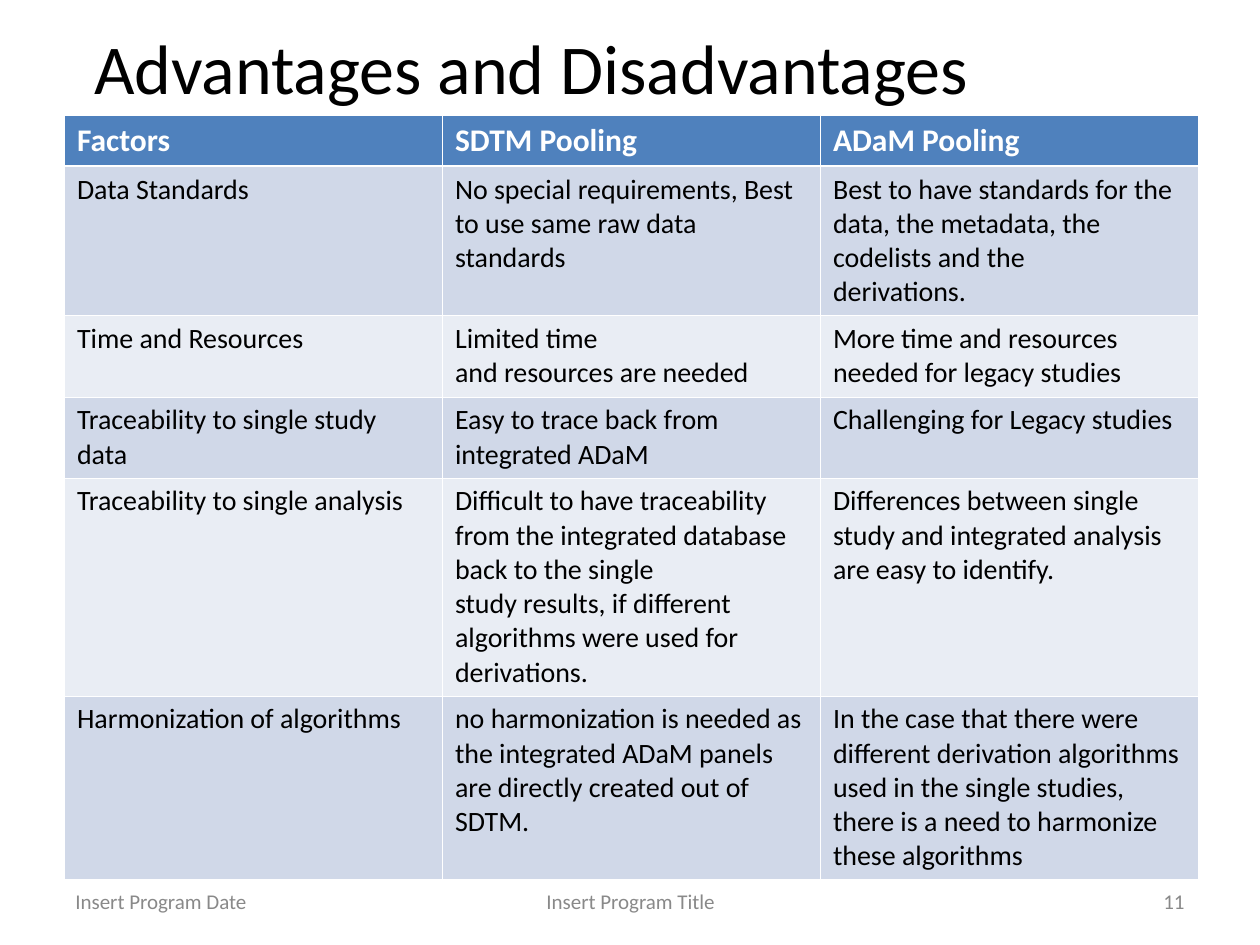
"""Build a slide with a table comparing SDTM pooling and ADaM pooling."""
from lxml import etree
from pptx import Presentation
from pptx.dml.color import RGBColor
from pptx.enum.text import MSO_ANCHOR, PP_ALIGN
from pptx.oxml.ns import qn
from pptx.util import Cm, Pt

LEFT, CENTER, RIGHT = PP_ALIGN.LEFT, PP_ALIGN.CENTER, PP_ALIGN.RIGHT
MIDDLE = MSO_ANCHOR.MIDDLE
FONT = "Calibri"
COLORS = {
    "text": "000000",
    "footer": "898989",
    "white": "FFFFFF",
    "header": "4F81BD",
    "odd_row": "D0D8E8",
    "even_row": "E9EDF4",
}
THIN, THICK = 0.45, 1.47
COLUMN_WIDTH = 7.62
ROW_HEIGHTS = [1.02, 2.97, 1.63, 1.63, 4.32, 3.66]
ROWS = [
    ("Factors", "SDTM Pooling", "ADaM Pooling"),
    ("Data Standards",
     "No special requirements, Best to use same raw data standards",
     "Best to have standards for the data, the metadata, the codelists and the\n"
     "derivations."),
    ("Time and Resources",
     "Limited time\nand resources are needed",
     "More time and resources needed for legacy studies"),
    ("Traceability to single study data",
     "Easy to trace back from integrated ADaM",
     "Challenging for Legacy studies"),
    ("Traceability to single analysis",
     "Difficult to have traceability from the integrated database back to the single\n"
     "study results, if different algorithms were used for derivations.",
     "Differences between single study and integrated analysis are easy to identify."),
    ("Harmonization of algorithms",
     "no harmonization is needed as the integrated ADaM panels are directly created out of\n"
     "SDTM.",
     "In the case that there were different derivation algorithms used in the single studies, "
     "there is a need to harmonize\nthese algorithms"),
]
FOOTERS = [
    ("Insert Program Date", 1.27, 5.92, LEFT),
    ("Insert Program Title", 8.69, 8.05, CENTER),
    ("11", 18.21, 5.92, RIGHT),
]


def write_text(text_frame, text, size, color, bold=False, alignment=LEFT):
    text_frame.text = text
    for paragraph in text_frame.paragraphs:
        paragraph.alignment = alignment
        for run in paragraph.runs:
            run.font.name = FONT
            run.font.size = Pt(size)
            run.font.bold = bold
            run.font.color.rgb = RGBColor.from_string(COLORS[color])


def add_text(slide, text, left, top, width, height, size, color, alignment):
    shape = slide.shapes.add_textbox(Cm(left), Cm(top), Cm(width), Cm(height))
    shape.text_frame.word_wrap = True
    shape.text_frame.vertical_anchor = MIDDLE
    write_text(shape.text_frame, text, size, color, alignment=alignment)


def set_borders(cell, top, bottom):
    properties = cell._tc.get_or_add_tcPr()
    sides = {"lnL": THIN, "lnR": THIN, "lnT": top, "lnB": bottom}
    for index, (side, width) in enumerate(sides.items()):
        line = etree.Element(qn(f"a:{side}"), w=str(Pt(width)))
        fill = etree.SubElement(line, qn("a:solidFill"))
        etree.SubElement(fill, qn("a:srgbClr"), val=COLORS["white"])
        properties.insert(index, line)


def format_cell(cell, text, row_index):
    is_header = row_index == 0
    fill = "header" if is_header else "odd_row" if row_index % 2 else "even_row"
    cell.fill.solid()
    cell.fill.fore_color.rgb = RGBColor.from_string(COLORS[fill])
    write_text(cell.text_frame, text, 18 if is_header else 16,
               "white" if is_header else "text", bold=is_header)
    set_borders(cell, THICK if row_index == 1 else THIN, THICK if is_header else THIN)


def add_comparison_table(slide, left, top):
    column_count = len(ROWS[0])
    table = slide.shapes.add_table(
        len(ROWS), column_count, Cm(left), Cm(top),
        Cm(COLUMN_WIDTH * column_count), Cm(sum(ROW_HEIGHTS))).table
    table.horz_banding = False
    for column in table.columns:
        column.width = Cm(COLUMN_WIDTH)
    for row_index, (texts, height) in enumerate(zip(ROWS, ROW_HEIGHTS)):
        table.rows[row_index].height = Cm(height)
        for column_index, text in enumerate(texts):
            format_cell(table.cell(row_index, column_index), text, row_index)


def main():
    presentation = Presentation()
    presentation.slide_width, presentation.slide_height = Cm(25.4), Cm(19.05)
    slide = presentation.slides.add_slide(presentation.slide_layouts[6])
    add_comparison_table(slide, 1.3, 2.32)
    for text, left, width, alignment in FOOTERS:
        add_text(slide, text, left, 17.65, width, 1.02, 12, "footer", alignment)
    add_text(slide, "Advantages and Disadvantages", 0, 0, 21.41, 2.67, 40, "text", CENTER)
    presentation.save("out.pptx")


main()
